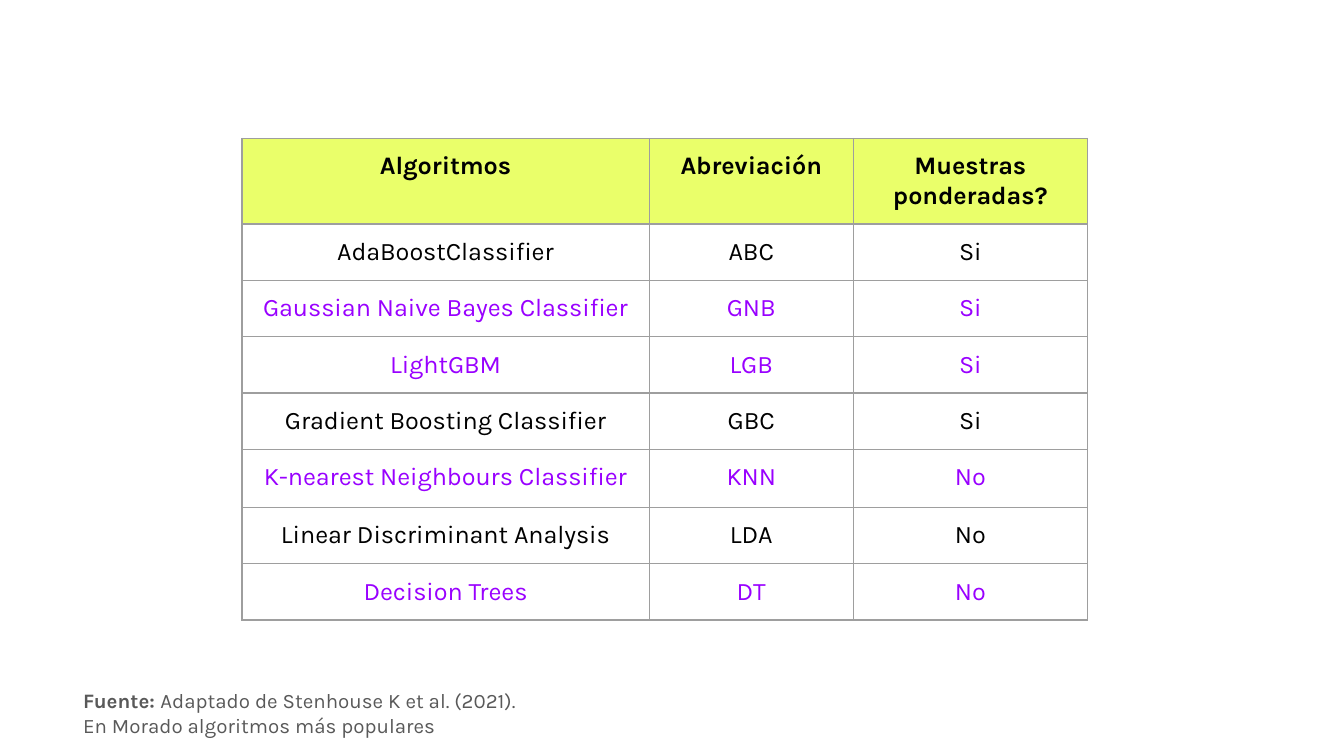
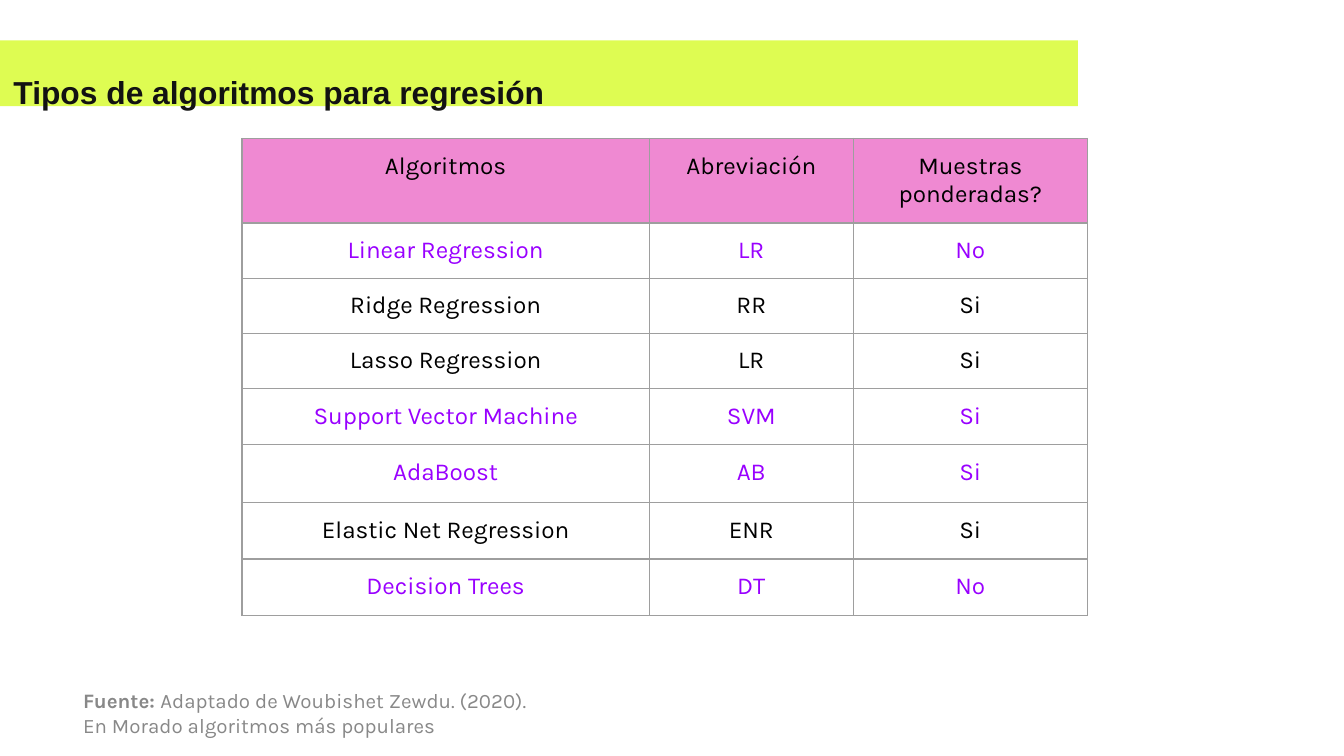
from lxml import etree
from pptx import Presentation
from pptx import util as u
from pptx.dml import color
from pptx.enum import text
from pptx.oxml import ns

BLACK = "000000"
PURPLE = "9900FF"
BORDER = "9E9E9E"
BAND = "DEFC52"
TITLE_INK = "121212"
BODY_FONT = "Karla"
TITLE_FONT = "Arial"
HEADERS = ("Algoritmos", "Abreviación", "Muestras ponderadas?")
COLUMN_WIDTHS = (3.03, 1.52, 1.74)
ROW_HEIGHTS = (0.63, 0.23, 0.29, 0.29, 0.42, 0.43, 0.42, 0.42)
TITLE_ONLY, BLANK = 5, 6


def rgb(value):
    return color.RGBColor.from_string(value)


class Deck:
    def __init__(self):
        self.presentation = Presentation()
        self.presentation.slide_width = u.Inches(10)
        self.presentation.slide_height = u.Inches(10 * 9 / 16)
        self.slide = None

    def add_slide(self, layout):
        layouts = self.presentation.slide_layouts
        self.slide = self.presentation.slides.add_slide(layouts[layout])

    def add_run(self, paragraph, words, size, ink, bold=False, font=BODY_FONT):
        run = paragraph.add_run()
        run.text = words
        run.font.name = font
        run.font.size = u.Pt(size)
        run.font.bold = bold
        run.font.color.rgb = rgb(ink)

    def set_insets(self, box):
        box.margin_left = box.margin_right = u.Inches(0.1)
        box.margin_top = box.margin_bottom = u.Inches(0.1)

    def title(self, words):
        shape = self.slide.shapes.title
        shape.left, shape.top = u.Inches(0), u.Inches(0.3)
        shape.width, shape.height = u.Inches(8.02), u.Inches(0.49)
        shape.fill.solid()
        shape.fill.fore_color.rgb = rgb(BAND)
        frame = shape.text_frame
        frame.word_wrap = True
        frame.auto_size = text.MSO_AUTO_SIZE.NONE
        frame.vertical_anchor = text.MSO_ANCHOR.TOP
        self.set_insets(frame)
        paragraph = frame.paragraphs[0]
        paragraph.alignment = text.PP_ALIGN.LEFT
        paragraph.line_spacing = 1.5
        paragraph.space_before = u.Pt(0)
        self.add_run(paragraph, words, 17, TITLE_INK, True, TITLE_FONT)

    def add_borders(self, cell):
        properties = cell._tc.get_or_add_tcPr()
        for side in ("a:lnL", "a:lnR", "a:lnT", "a:lnB"):
            line = etree.SubElement(properties, ns.qn(side), w=str(u.Pt(0.75)))
            fill = etree.SubElement(line, ns.qn("a:solidFill"))
            etree.SubElement(fill, ns.qn("a:srgbClr"), val=BORDER)

    def fill_cell(self, cell, words, size, ink, bold=False, fill=None):
        self.set_insets(cell)
        self.add_borders(cell)
        if fill:
            cell.fill.solid()
            cell.fill.fore_color.rgb = rgb(fill)
        else:
            cell.fill.background()
        paragraph = cell.text_frame.paragraphs[0]
        paragraph.alignment = text.PP_ALIGN.CENTER
        self.add_run(paragraph, words, size, ink, bold)

    def algorithm_table(self, algorithms, size, header_fill, header_bold):
        table = self.slide.shapes.add_table(
            len(algorithms) + 1, len(HEADERS), u.Inches(1.8), u.Inches(1.03),
            u.Inches(sum(COLUMN_WIDTHS)), u.Inches(sum(ROW_HEIGHTS))).table
        table.first_row = table.horz_banding = False
        for column, width in zip(table.columns, COLUMN_WIDTHS):
            column.width = u.Inches(width)
        for row, height in zip(table.rows, ROW_HEIGHTS):
            row.height = u.Inches(height)
        for index, header in enumerate(HEADERS):
            self.fill_cell(table.cell(0, index), header, size, BLACK, header_bold, header_fill)
        for row_index, (ink, *algorithm) in enumerate(algorithms, 1):
            for index, words in enumerate(algorithm):
                self.fill_cell(table.cell(row_index, index), words, size, ink)

    def source_note(self, citation, width, ink):
        shape = self.slide.shapes.add_textbox(
            u.Inches(0.52), u.Inches(5.02), u.Inches(width), u.Inches(0.57))
        frame = shape.text_frame
        frame.word_wrap = True
        frame.auto_size = text.MSO_AUTO_SIZE.SHAPE_TO_FIT_TEXT
        self.set_insets(frame)
        first = frame.paragraphs[0]
        self.add_run(first, "Fuente: ", 11, ink, True)
        self.add_run(first, citation, 11, ink)
        self.add_run(frame.add_paragraph(), "En Morado algoritmos más populares", 11, ink)


CLASSIFIERS = (
    (BLACK, "AdaBoostClassifier", "ABC", "Si"),
    (PURPLE, "Gaussian Naive Bayes Classifier", "GNB", "Si"),
    (PURPLE, "LightGBM", "LGB", "Si"),
    (BLACK, "Gradient Boosting Classifier", "GBC", "Si"),
    (PURPLE, "K-nearest Neighbours Classifier", "KNN", "No"),
    (BLACK, "Linear Discriminant Analysis", "LDA", "No"),
    (PURPLE, "Decision Trees", "DT", "No"),
)
REGRESSORS = (
    (PURPLE, "Linear Regression", "LR", "No"),
    (BLACK, "Ridge Regression", "RR", "Si"),
    (BLACK, "Lasso Regression", "LR", "Si"),
    (PURPLE, "Support Vector Machine", "SVM", "Si"),
    (PURPLE, "AdaBoost", "AB", "Si"),
    (BLACK, "Elastic Net Regression", "ENR", "Si"),
    (PURPLE, "Decision Trees", "DT", "No"),
)


def main():
    deck = Deck()

    deck.add_slide(BLANK)
    deck.algorithm_table(CLASSIFIERS, 13.5, "EAFF6A", True)
    deck.source_note("Adaptado de Stenhouse K et al. (2021).", 6.36, "595959")

    deck.add_slide(TITLE_ONLY)
    deck.title("Tipos de algoritmos para regresión")
    deck.algorithm_table(REGRESSORS, 13, "EF89D2", False)
    deck.source_note("Adaptado de Woubishet Zewdu. (2020).", 7.22, "888888")

    deck.presentation.save("out.pptx")


if __name__ == "__main__":
    main()
